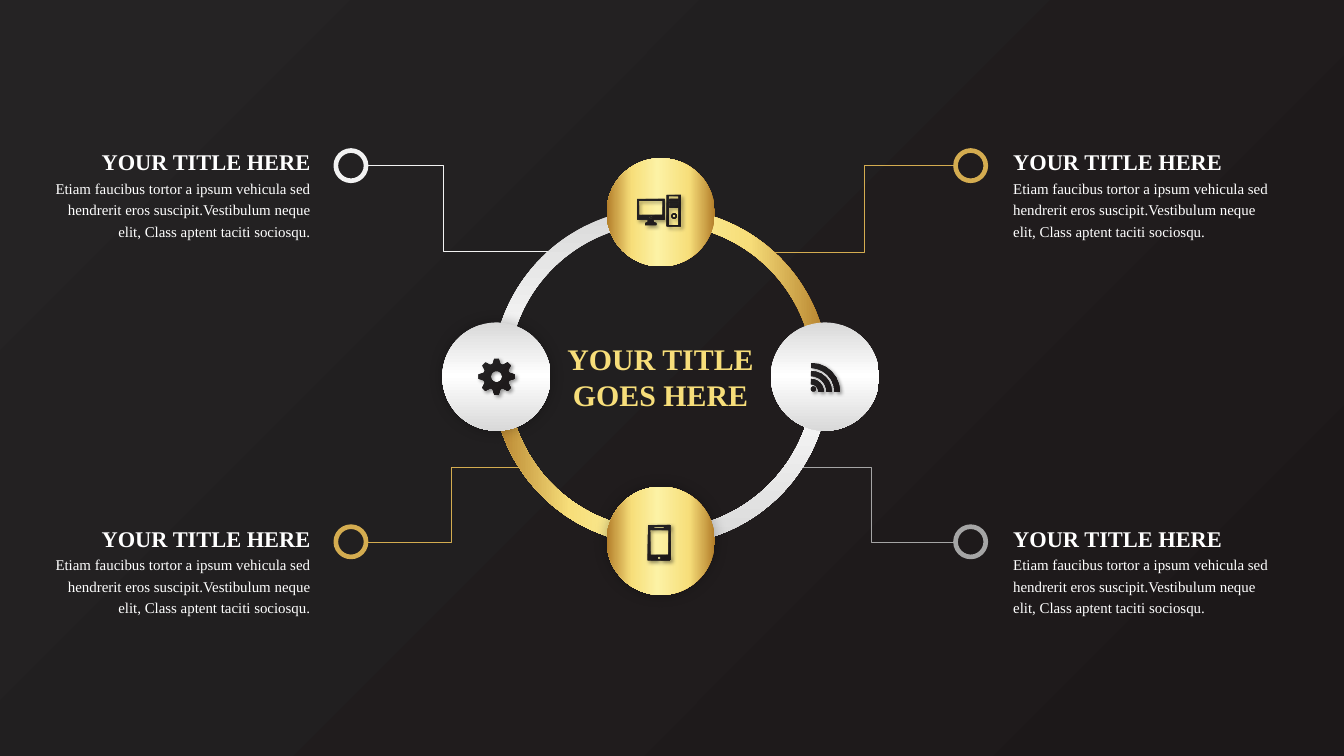
from math import cos, radians, sin

from lxml import etree
from pptx import Presentation
from pptx.dml.color import RGBColor
from pptx.enum.shapes import MSO_CONNECTOR, MSO_SHAPE
from pptx.enum.text import MSO_ANCHOR, MSO_AUTO_SIZE, PP_ALIGN
from pptx.oxml.ns import qn
from pptx.util import Pt

ELBOW = MSO_CONNECTOR.ELBOW
OVAL, ARC = MSO_SHAPE.OVAL, MSO_SHAPE.BLOCK_ARC
TOP = MSO_ANCHOR.TOP
GROW = MSO_AUTO_SIZE.SHAPE_TO_FIT_TEXT
LEFT, CENTER, RIGHT = PP_ALIGN.LEFT, PP_ALIGN.CENTER, PP_ALIGN.RIGHT

FONT = "Times New Roman"
COLORS = {"text": "FFFFFF", "gold": "D4AC50", "white": "F2F2F2",
          "gray": "A5A5A5", "shadow": "000000"}
GRADIENTS = {
    "gold": ([(0, "B37E2A"), (24, "F7DE7A"), (53, "FCF2A5"),
              (77, "F7DE7A"), (100, "B37E2A")], 180),
    "silver": ([(0, "D9D9D9"), (49, "FFFFFF"), (100, "D9D9D9")], 90),
    "dark": ([(0, "1C1819"), (100, "252324")], None),
}
HUB_X, HUB_Y = 708, 403.5
RING_RADIUS, DISC_ORBIT, DISC_RADIUS = 180.4, 176, 58
MARKER_RADIUS = 16.2
HEADING = "YOUR TITLE HERE"
BODY = ("Etiam faucibus tortor a ipsum vehicula sed hendrerit eros "
        "suscipit.Vestibulum neque elit, Class aptent taciti sociosqu.")


def paint_gradient(fill, parent, name):
    stops, angle = GRADIENTS[name]
    fill.gradient()
    gradient = parent.find(qn("a:gradFill"))
    for child in list(gradient):
        gradient.remove(child)
    stop_list = etree.SubElement(gradient, qn("a:gsLst"))
    for position, color in stops:
        stop = etree.SubElement(stop_list, qn("a:gs"), pos=str(position * 1000))
        etree.SubElement(stop, qn("a:srgbClr"), val=color)
    if angle is None:
        radial = etree.SubElement(gradient, qn("a:path"), path="circle")
        etree.SubElement(radial, qn("a:fillToRect"), l="100000", t="100000")
    else:
        etree.SubElement(gradient, qn("a:lin"), ang=str(angle * 60000), scaled="0")


def style(shape, gradient, shadow=None):
    properties = shape._element.spPr
    paint_gradient(shape.fill, properties, gradient)
    shape.line.fill.background()
    shape.shadow.inherit = False
    if shadow:
        alpha, blur, distance, angle = shadow
        outer = etree.SubElement(
            properties.find(qn("a:effectLst")), qn("a:outerShdw"),
            blurRad=str(Pt(blur)), dist=str(Pt(distance)),
            dir=str(angle * 60000), algn="ctr", rotWithShape="0")
        color = etree.SubElement(outer, qn("a:srgbClr"), val=COLORS["shadow"])
        etree.SubElement(color, qn("a:alpha"), val=str(alpha * 1000))


def add_circle(slide, x, y, radius, kind=OVAL):
    return slide.shapes.add_shape(kind, Pt(x - radius), Pt(y - radius),
                                  Pt(2 * radius), Pt(2 * radius))


def add_text(slide, x, y, width, height, text, size, bold, align):
    box = slide.shapes.add_textbox(Pt(x), Pt(y), Pt(width), Pt(height))
    frame = box.text_frame
    frame.word_wrap = True
    frame.auto_size = GROW
    frame.text = text
    paragraph = frame.paragraphs[0]
    paragraph.alignment = align
    paragraph.line_spacing = 1.2
    font = paragraph.runs[0].font
    font.name, font.size, font.bold = FONT, Pt(size), bold
    font.color.rgb = RGBColor.from_string(COLORS["text"])


def add_callout(slide, side, marker_y, color, start, bend):
    marker_x = HUB_X + side * 332
    ink = RGBColor.from_string(COLORS[color])
    align = LEFT if side > 0 else RIGHT
    for width, height, offset, text, size, bold in (
            (268.6, 38.9, -27.7, HEADING, 24, True),
            (295.2, 74.9, 7.5, BODY, 16, False)):
        x = 1078.5 if side > 0 else 339.6 - width
        add_text(slide, x, marker_y + offset, width, height, text, size, bold, align)
    marker = add_circle(slide, marker_x, marker_y, MARKER_RADIUS)
    marker.fill.background()
    marker.line.color.rgb = ink
    marker.line.width = Pt(5)
    marker.shadow.inherit = False
    start_x, start_y = start
    link = slide.shapes.add_connector(
        ELBOW, Pt(start_x), Pt(start_y),
        Pt(marker_x - side * MARKER_RADIUS), Pt(marker_y))
    link.line.color.rgb = ink
    link.line.width = Pt(0.5)
    properties = link._element.spPr
    etree.SubElement(properties, qn("a:effectLst"))
    guides = properties.find(qn("a:prstGeom")).get_or_add_avLst()
    etree.SubElement(guides, qn("a:gd"), name="adj1", fmla=f"val {round(bend * 100000)}")


def rectangle(left, top, right, bottom):
    return [(left, top), (right, top), (right, bottom), (left, bottom)]


def arc(x, y, radius, start=0, end=360, step=15):
    return [(x + radius * cos(radians(a)), y + radius * sin(radians(a)))
            for a in range(start, end + 1, step)]


def computer():
    slots = [rectangle(9.1, top, 18.5, bottom) for top, bottom in
             ((-14.4, -11.5), (-10.8, -9.4), (-8.6, -7.2), (-6.5, -5))]
    stand = [(-13.9, 7.9), (-8.2, 7.9), (-7.5, 10.5), (-4.6, 11.5),
             (-4.6, 13.7), (-16.8, 13.7), (-16.8, 11.5), (-14.2, 10.5)]
    return [rectangle(-25.4, -14.4, 4.1, 7.9), rectangle(-23.3, -12.3, 1.9, 2.9),
            arc(-10.7, 5.4, 1.8), arc(-10.7, 5.4, 1.1), stand,
            rectangle(6.2, -18.7, 21.4, 15.1), rectangle(8.4, -17.3, 19.2, 13.7),
            arc(14.2, 4, 2.9), arc(14.2, 4, 1.8)] + slots


def signal():
    x, y = -15.1, 16.2
    bands = [arc(x, y, outer, -90, 0) + arc(x, y, inner, -90, 0)[::-1]
             for inner, outer in ((7.9, 13.7), (16.6, 22.3), (25.2, 31))]
    return bands + [arc(-12.6, 13.3, 2.7)]


def phone():
    return [rectangle(-14, -17.2, 10.4, 20.9), rectangle(-11.2, -11.5, 8.3, 15.1),
            arc(-1.8, 18.4, 1.8), rectangle(-6.8, -15.1, 3.2, -13.7)]


def gear():
    teeth = [(radius * cos(radians(tooth + turn)), radius * sin(radians(tooth + turn)))
             for tooth in range(0, 360, 45)
             for radius, turn in ((14.3, -17), (19.5, -7), (19.5, 7), (14.3, 17))]
    return [teeth, arc(0, 0, 6)]


def add_icon(slide, x, y, contours):
    outline = None
    for contour in contours:
        points = [(Pt(x + dx), Pt(y + dy)) for dx, dy in contour]
        if outline is None:
            outline = slide.shapes.build_freeform(*points[0])
        else:
            outline.move_to(*points[0])
        outline.add_line_segments(points[1:], close=True)
    style(outline.convert_to_shape(), "dark", (40, 4, 3, 45))


def set_title(slide):
    title = slide.shapes.title
    title.left, title.top, title.width, title.height = Pt(607), Pt(365), Pt(201.6), Pt(77.8)
    frame = title.text_frame
    frame.margin_left = frame.margin_right = frame.margin_top = frame.margin_bottom = 0
    frame.word_wrap = False
    frame.auto_size = GROW
    frame.vertical_anchor = TOP
    frame.text = "YOUR TITLE\nGOES HERE"
    for paragraph in frame.paragraphs:
        paragraph.alignment = CENTER
        run = paragraph.runs[0]
        run.font.name, run.font.size, run.font.bold = FONT, Pt(32), True
        paint_gradient(run.font.fill, run._r.get_or_add_rPr(), "gold")


def main():
    deck = Presentation()
    deck.slide_width, deck.slide_height = Pt(1440), Pt(810)
    slide = deck.slides.add_slide(deck.slide_layouts[5])
    background = slide.background.fill
    paint_gradient(background, slide._element.cSld.bg.bgPr, "dark")
    set_title(slide)

    for callout in ((1, 177.5, "gold", (828, 270), 0.5),
                    (1, 580.5, "gray", (843.8, 500.4), 0.5),
                    (-1, 177.5, "white", (589, 269.3), 0.58),
                    (-1, 580.5, "gold", (574.6, 500.4), 0.5)):
        add_callout(slide, *callout)

    for start, end, gradient in ((108, 162, "silver"), (54, 108, "gold"),
                                 (0, 54, "silver"), (162, 0, "gold")):
        segment = add_circle(slide, HUB_X, HUB_Y, RING_RADIUS, ARC)
        for index, value in enumerate((start, end, 0.046)):
            segment.adjustments[index] = value
        style(segment, gradient)

    glow = (28, 15, 0, 0)
    for angle, gradient, shadow, icon in (
            (-90, "gold", None, computer), (90, "gold", glow, phone),
            (0, "silver", None, signal), (180, "silver", glow, gear)):
        x = HUB_X + DISC_ORBIT * cos(radians(angle))
        y = HUB_Y + DISC_ORBIT * sin(radians(angle))
        style(add_circle(slide, x, y, DISC_RADIUS), gradient, shadow)
        add_icon(slide, x, y, icon())

    deck.save("out.pptx")


if __name__ == "__main__":
    main()
